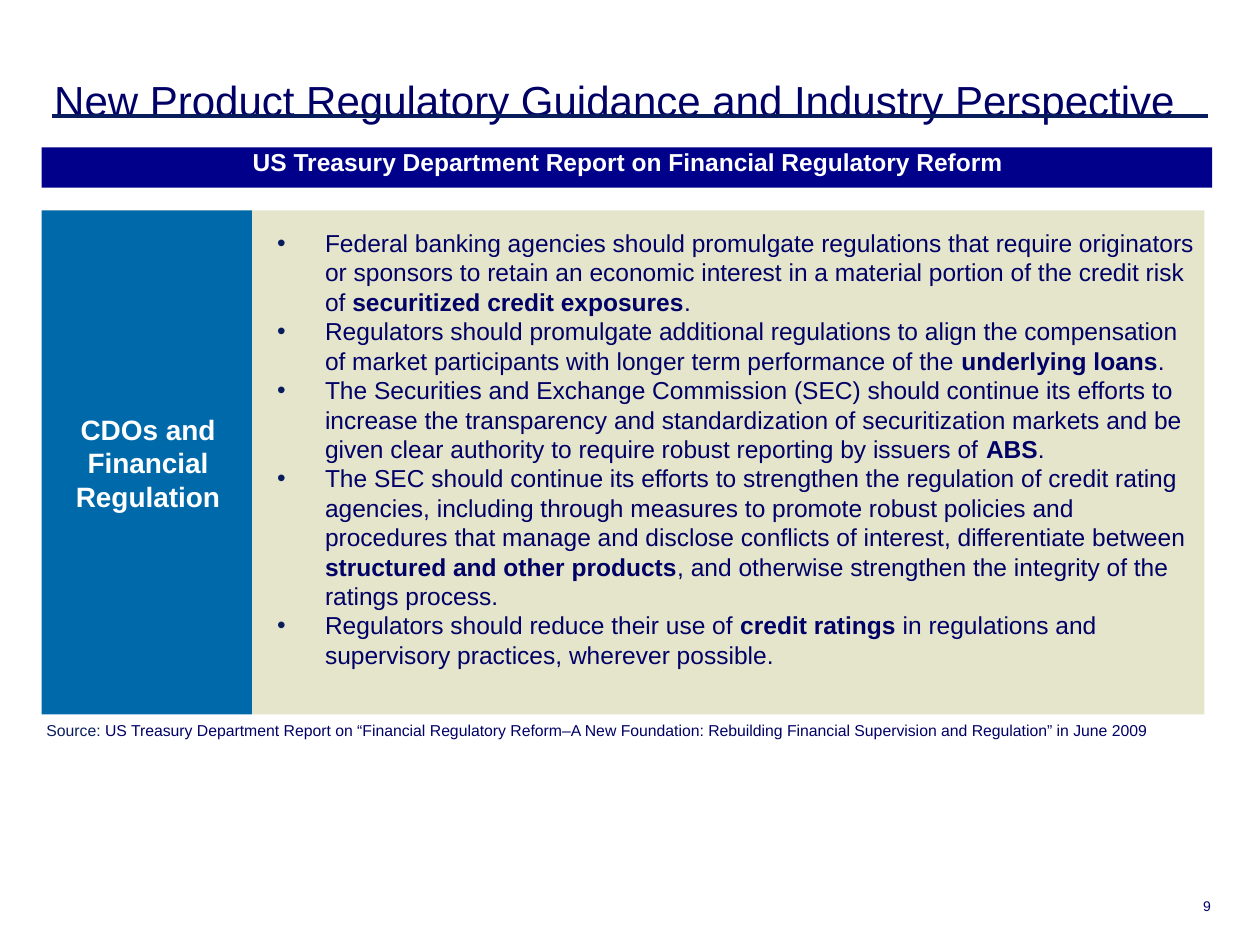
from dataclasses import dataclass
from lxml import etree
from pptx import Presentation
from pptx.dml.color import RGBColor
from pptx.enum.shapes import MSO_CONNECTOR, MSO_SHAPE
from pptx.enum.text import MSO_ANCHOR, PP_ALIGN
from pptx.oxml.ns import qn
from pptx.util import Inches, Pt

LINE, RECT = MSO_CONNECTOR.STRAIGHT, MSO_SHAPE.RECTANGLE
TOP, MIDDLE = MSO_ANCHOR.TOP, MSO_ANCHOR.MIDDLE
LEFT, CENTER, RIGHT = PP_ALIGN.LEFT, PP_ALIGN.CENTER, PP_ALIGN.RIGHT
TITLE_ONLY = 5


@dataclass(frozen=True)
class Theme:
    font: str = "Arial"
    ink: str = "000066"
    rule: str = "091D5D"
    white: str = "FFFFFF"
    sand: str = "E5E5CC"
    blue: str = "0069AA"
    navy: str = "00008A"
    title: int = 24
    label: int = 16
    body: int = 14
    note: int = 9
    page: int = 8


THEME = Theme()

# Each point: plain text, bold text, plain text
POINTS = [
    ("Federal banking agencies should promulgate regulations that require "
     "originators or sponsors to retain an economic interest in a material "
     "portion of the credit risk of ", "securitized credit exposures", "."),
    ("Regulators should promulgate additional regulations to align the "
     "compensation of market participants with longer term performance of "
     "the ", "underlying loans", "."),
    ("The Securities and Exchange Commission (SEC) should continue its efforts "
     "to increase the transparency and standardization of securitization "
     "markets and be given clear authority to require robust reporting by "
     "issuers of ", "ABS", "."),
    ("The SEC should continue its efforts to strengthen the regulation of "
     "credit rating agencies, including through measures to promote robust "
     "policies and procedures that manage and disclose conflicts of interest, "
     "differentiate between ", "structured and other products",
     ", and otherwise strengthen the integrity of the ratings process."),
    ("Regulators should reduce their use of ", "credit ratings ",
     "in regulations and supervisory practices, wherever possible."),
]


def color(code):
    return RGBColor.from_string(code)


def style(run, size, code, bold=False):
    font = run.font
    font.name, font.size, font.bold = THEME.font, Pt(size), bold
    font.color.rgb = color(code)


def set_frame(frame, inset, anchor=TOP, wrap=True):
    (frame.margin_left, frame.margin_top,
     frame.margin_right, frame.margin_bottom) = map(Inches, inset)
    frame.vertical_anchor, frame.word_wrap = anchor, wrap


def write(frame, text, size, code, align=LEFT, bold=False):
    frame.text = text
    para = frame.paragraphs[0]
    para.alignment = align
    style(para.runs[0], size, code, bold)


def add_panel(slide, box, fill):
    panel = slide.shapes.add_shape(RECT, *map(Inches, box))
    panel.shadow.inherit = False
    panel.fill.solid()
    panel.fill.fore_color.rgb = color(fill)
    panel.line.fill.background()
    return panel.text_frame


def add_bullet(para, indent):
    props = para._p.get_or_add_pPr()
    props.set("marL", str(Inches(indent)))
    props.set("indent", str(-Inches(indent)))
    tint = etree.SubElement(props, qn("a:buClr"))
    etree.SubElement(tint, qn("a:srgbClr"), val=THEME.rule)
    etree.SubElement(props, qn("a:buFont"), typeface=THEME.font)
    etree.SubElement(props, qn("a:buChar"), char="•")


def add_rule(slide, left, right, y):
    rule = slide.shapes.add_connector(
        LINE, Inches(left), Inches(y), Inches(right), Inches(y))
    rule.line.color.rgb = color(THEME.rule)
    rule.line.width = Pt(2)
    etree.SubElement(rule._element.spPr, qn("a:effectLst"))


def set_title(slide, box):
    title = slide.shapes.title
    title.left, title.top, title.width, title.height = map(Inches, box)
    set_frame(title.text_frame, (0.26, 0.05, 0.1, 0.05), MIDDLE)
    write(title.text_frame,
          "New Product Regulatory Guidance and Industry Perspective",
          THEME.title, THEME.ink)


def add_banner(slide, box):
    frame = add_panel(slide, box, THEME.navy)
    set_frame(frame, (0.02, 0, 0, 0))
    write(frame, "US Treasury Department Report on Financial Regulatory Reform",
          THEME.body, THEME.white, CENTER, True)


def add_topic(slide, box, side):
    left, top, width, height = box
    # Bulleted findings
    frame = add_panel(slide, (left + side, top, width - side, height),
                      THEME.sand)
    set_frame(frame, (0.2, 0.14, 0.06, 0.06))
    for i, parts in enumerate(POINTS):
        para = frame.add_paragraph() if i else frame.paragraphs[0]
        para.alignment = LEFT
        add_bullet(para, 0.38)
        for j, part in enumerate(parts):
            run = para.add_run()
            run.text = part
            style(run, THEME.body, THEME.ink, j == 1)
    # Side label
    frame = add_panel(slide, (left, top, side, height), THEME.blue)
    set_frame(frame, (0.02, 0, 0, 0), MIDDLE)
    write(frame, "CDOs and Financial Regulation",
          THEME.label, THEME.white, CENTER, True)


def add_source(slide, box):
    frame = slide.shapes.add_textbox(*map(Inches, box)).text_frame
    set_frame(frame, (0.1, 0.05, 0.1, 0.05), wrap=False)
    write(frame, "Source: ", THEME.note, THEME.rule)
    run = frame.paragraphs[0].add_run()
    run.text = ("US Treasury Department Report on “Financial Regulatory "
                "Reform–A New Foundation: Rebuilding Financial Supervision "
                "and Regulation” in June 2009")
    style(run, THEME.note, THEME.ink)


def add_page(slide, box):
    frame = slide.shapes.add_textbox(*map(Inches, box)).text_frame
    set_frame(frame, (0, 0, 0, 0))
    write(frame, "9", THEME.page, THEME.ink, RIGHT)
    frame.paragraphs[0].line_spacing = 0.95


def main():
    deck = Presentation()
    deck.slide_width, deck.slide_height = Inches(10), Inches(7.5)
    slide = deck.slides.add_slide(deck.slide_layouts[TITLE_ONLY])
    add_rule(slide, 0.41, 9.59, 0.92)
    add_page(slide, (8.61, 7.13, 1, 0.13))
    add_topic(slide, (0.33, 1.67, 9.23, 4), 1.67)
    add_banner(slide, (0.33, 1.17, 9.29, 0.32))
    add_source(slide, (0.27, 5.67, 8.95, 0.25))
    set_title(slide, (0.17, 0.5, 9.43, 0.58))
    deck.save("out.pptx")


if __name__ == "__main__":
    main()
